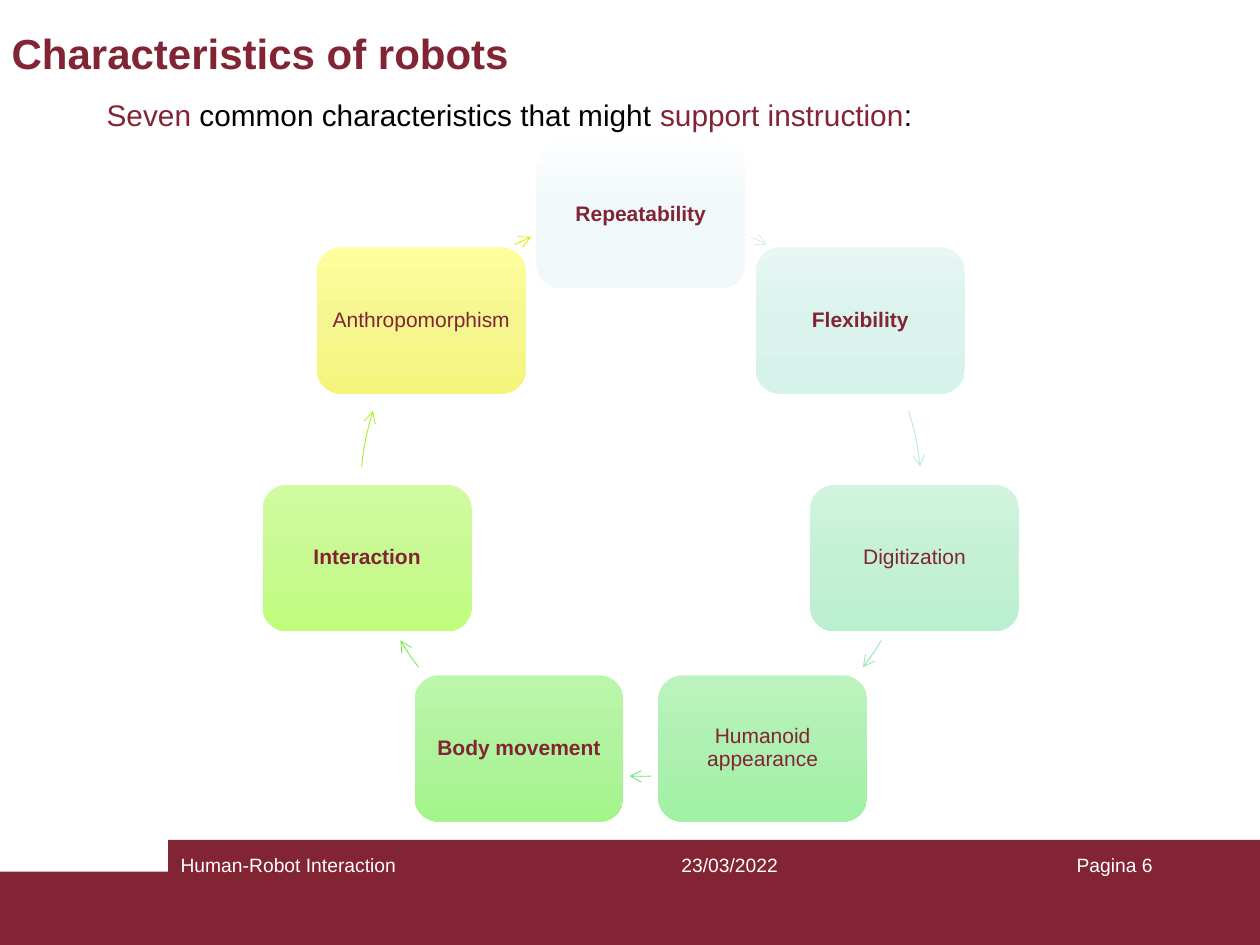
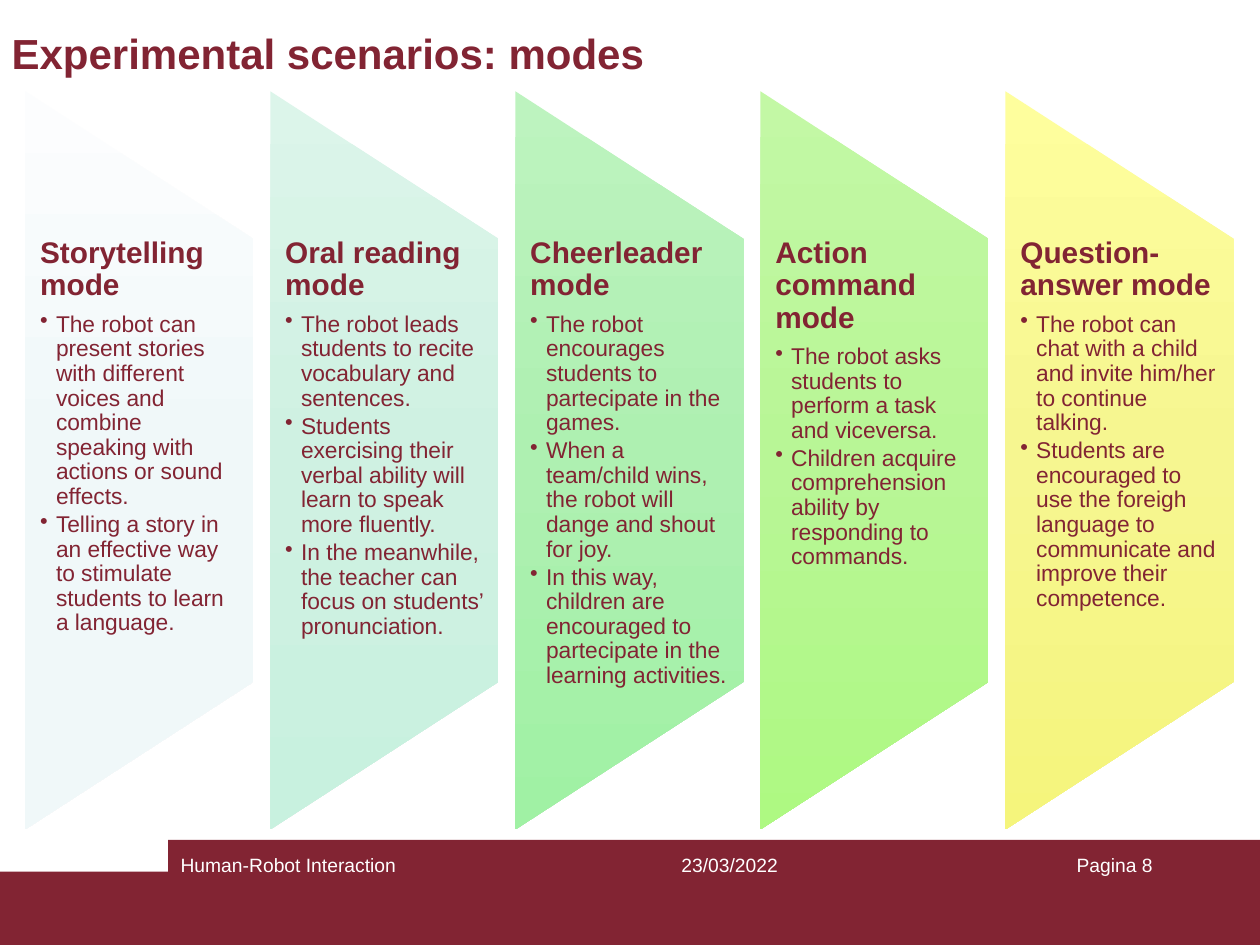
from copy import deepcopy
from math import cos, pi, radians, sin

from lxml.etree import SubElement
from pptx import Presentation
from pptx.dml.color import RGBColor
from pptx.enum.shapes import MSO_SHAPE
from pptx.enum.text import MSO_ANCHOR, MSO_AUTO_SIZE, PP_ALIGN
from pptx.oxml.ns import qn
from pptx.util import Cm, Pt

# Shared look
FONT = "Arial"
WINE = RGBColor(0x82, 0x24, 0x33)
WHITE = RGBColor(0xFF, 0xFF, 0xFF)
BLACK = RGBColor(0x00, 0x00, 0x00)
WIDE, HIGH = 25.4, 19.05


def shades(*codes):
    return [RGBColor.from_string(code) for code in codes]


# Gradients from top to bottom
ICE = shades("FCFDFE", "F0F8F9", "EEF7F8")
MIST = shades("E7F7F3", "DAF3EC", "D5F2EB")
AQUA = shades("DCF5EA", "CFF1E2", "C8F1DF")
MINT = shades("D2F4DF", "C4F0D4", "BAF0CF")
GREEN = shades("BDF3BF", "AEF0B1", "A0F1A4")
LEAF = shades("BCF6AB", "B0F39D", "A3F58A")
APPLE = shades("C3F8A5", "B8F696", "AEF982")
LIME = shades("D0FBA0", "C8F992", "C1FD7D")
LEMON = shades("FEFE9D", "F6F690", "F5F57C")

# Ring of traits: label, bold, gradient
TRAITS = [
    ("Repeatability", True, ICE),
    ("Flexibility", True, MIST),
    ("Digitization", False, MINT),
    ("Humanoid appearance", False, GREEN),
    ("Body movement", True, LEAF),
    ("Interaction", True, LIME),
    ("Anthropomorphism", False, LEMON),
]
MID_X, MID_Y, RADIUS = 12.92, 9.99, 5.66
BOX_W, BOX_H = 4.21, 2.95

# Arrow arcs in degrees, clockwise from the right; the left side mirrors the right
RIGHT = [(-67, -63.3), (-17.5, -5.9), (31.1, 37.7)]
ARCS = RIGHT + [(87.9, 92.3)] + [(180 - b, 180 - a) for a, b in RIGHT[::-1]]
INKS = shades("DAEDEF", "BBE8DD", "98E5B7", "72E678", "79EB48", "A7F31A", "E7E700")

# Columns of modes: heading, gradient, right margin, points
MODES = [
    ("Storytelling mode", ICE, 0.4, [
        "The robot can present stories with different voices and combine "
        "speaking with actions or sound effects.",
        "Telling a story in an effective way to stimulate students to learn "
        "a language."]),
    ("Oral reading mode", AQUA, 0.27, [
        "The robot leads students to recite vocabulary and sentences.",
        "Students exercising their verbal ability will learn to speak more "
        "fluently.",
        "In the meanwhile, the teacher can focus on students’ pronunciation."]),
    ("Cheerleader mode", GREEN, 0.27, [
        "The robot encourages students to partecipate in the games.",
        "When a team/child wins, the robot will dange and shout for joy.",
        "In this way, children are encouraged to partecipate in the learning "
        "activities."]),
    ("Action command mode", APPLE, 0.27, [
        "The robot asks students to perform a task and viceversa.",
        "Children acquire comprehension ability by responding to commands."]),
    ("Question-answer mode", LEMON, 0.27, [
        "The robot can chat with a child and invite him/her to continue "
        "talking.",
        "Students are encouraged to use the foreigh language to communicate "
        "and improve their competence."]),
]
COL_X, COL_STEP, COL_W = 0.51, 4.94, 4.6
COL_H, COL_MID = 14.88, 9.28


def style(item, **looks):
    for name, value in looks.items():
        setattr(item, name, value)


def place(item, x, y, w, h):
    style(item, left=Cm(x), top=Cm(y), width=Cm(w), height=Cm(h))


def write(para, text, size, color=WINE, bold=False):
    run = para.add_run()
    run.text = text
    style(run.font, name=FONT, size=Pt(size), bold=bold)
    run.font.color.rgb = color


def add_text(slide, x, y, w, h):
    box = slide.shapes.add_textbox(Cm(x), Cm(y), Cm(w), Cm(h))
    box.text_frame.word_wrap = True
    return box.text_frame


def add_shape(slide, kind, x, y, w, h):
    shape = slide.shapes.add_shape(kind, Cm(x), Cm(y), Cm(w), Cm(h))
    shape.shadow.inherit = False
    shape.line.fill.background()
    return shape


def shade(shape, hues):
    """Fill with three stops that run down the slide, however the shape turns."""
    shape.fill.gradient()
    shape.fill.gradient_angle = 270
    grad = shape.element.spPr.find(qn("a:gradFill"))
    grad.set("rotWithShape", "0")
    stops = grad.find(qn("a:gsLst"))
    stops.insert(1, deepcopy(stops[0]))
    stops[1].set("pos", "50000")
    for stop, hue in zip(shape.fill.gradient_stops, hues):
        stop.color.rgb = hue


def add_bands(slide):
    """Put the bottom bands on the layout that all slides share."""
    for x, y in [(0, 17.57), (3.39, 16.93)]:
        band = add_shape(slide, MSO_SHAPE.RECTANGLE, x, y, WIDE - x, HIGH - y)
        band.fill.solid()
        band.fill.fore_color.rgb = WINE
        slide.slide_layout.shapes.element.append(band.element)


def add_slide(deck, title, page):
    slide = deck.slides.add_slide(deck.slide_layouts[5])
    head = slide.shapes.title
    place(head, -0.02, 0.43, 25.42, 1.4)
    style(head.text_frame, auto_size=MSO_AUTO_SIZE.NONE, word_wrap=True,
          vertical_anchor=MSO_ANCHOR.MIDDLE, margin_bottom=Cm(0.25))
    para = head.text_frame.paragraphs[0]
    para.alignment = PP_ALIGN.LEFT
    write(para, title, 24, bold=True)
    # Footer
    for text, x, w, side in [
            ("23/03/2022", 12.07, 5.28, PP_ALIGN.CENTER),
            ("Human-Robot Interaction", 3.39, 8.05, PP_ALIGN.LEFT),
            (f"Pagina {page}", 18.21, 5.28, PP_ALIGN.RIGHT)]:
        para = add_text(slide, x, 17.07, w, 1.27).paragraphs[0]
        para.alignment = side
        write(para, text, 11, WHITE)
    return slide


def add_trait(slide, angle, label, bold, hues):
    x, y = MID_X + RADIUS * cos(angle), MID_Y + RADIUS * sin(angle)
    box = add_shape(slide, MSO_SHAPE.ROUNDED_RECTANGLE,
                    x - BOX_W / 2, y - BOX_H / 2, BOX_W, BOX_H)
    shade(box, hues)
    gap = Cm(0.12)
    style(box.text_frame, word_wrap=True, vertical_anchor=MSO_ANCHOR.MIDDLE,
          margin_left=gap, margin_right=gap, margin_top=gap, margin_bottom=gap)
    para = box.text_frame.paragraphs[0]
    style(para, alignment=PP_ALIGN.CENTER, line_spacing=0.9)
    write(para, label, 12, bold=bold)


def add_arc(slide, start, end, ink):
    """Draw an arrow along the ring, in a frame as large as the whole ring."""
    left, top, size = Cm(MID_X - RADIUS), Cm(MID_Y - RADIUS), Cm(2 * RADIUS)
    build = slide.shapes.build_freeform(left, top)
    build.add_line_segments([(left + size, top + size)], close=False)
    arc = build.convert_to_shape()
    # Swap the diagonal for an arc
    track = arc.element.spPr.find(".//" + qn("a:path"))
    track.remove(track.find(qn("a:lnTo")))
    point = track.find(".//" + qn("a:pt"))
    point.set("x", str(Cm(RADIUS * (1 + cos(radians(start))))))
    point.set("y", str(Cm(RADIUS * (1 + sin(radians(start))))))
    SubElement(track, qn("a:arcTo"), wR=str(size // 2), hR=str(size // 2),
               stAng=str(round(start % 360 * 60000)),
               swAng=str(round((end - start) * 60000)))
    arc.shadow.inherit = False
    arc.fill.background()
    arc.line.color.rgb = ink
    arc.line.width = Pt(0.5)
    SubElement(arc.element.spPr.find(qn("a:ln")), qn("a:tailEnd"), type="arrow")


def add_point(frame, text):
    para = frame.add_paragraph()
    style(para, level=1, line_spacing=0.9, space_after=Pt(1.9))
    write(para, text, 13)
    props = para._p.get_or_add_pPr()
    props.set("marL", str(Cm(0.32)))
    props.set("indent", str(-Cm(0.32)))
    SubElement(props, qn("a:buChar"), char="•")


def add_mode(slide, x, name, hues, gap, points):
    # Side-on trapezoid, turned about its centre
    panel = add_shape(slide, MSO_SHAPE.FLOWCHART_MANUAL_OPERATION,
                      x + (COL_W - COL_H) / 2, COL_MID - COL_W / 2, COL_H, COL_W)
    panel.rotation = 270
    shade(panel, hues)
    # Heading and points
    frame = add_text(slide, x, 4.8, COL_W, 8.94)
    style(frame, margin_left=Cm(0.3), margin_right=Cm(gap),
          margin_top=0, margin_bottom=0)
    para = frame.paragraphs[0]
    style(para, line_spacing=0.9, space_after=Pt(5.9))
    write(para, name, 17, bold=True)
    for text in points:
        add_point(frame, text)


def main():
    deck = Presentation()
    style(deck, slide_width=Cm(WIDE), slide_height=Cm(HIGH))

    # Characteristics in a ring
    slide = add_slide(deck, "Characteristics of robots", 6)
    add_bands(slide)
    para = add_text(slide, 1.9, 1.83, 22.05, 1).paragraphs[0]
    for text, color in [("Seven", WINE),
                        (" common characteristics that might ", BLACK),
                        ("support instruction", WINE), (":", BLACK)]:
        write(para, text, 17, color)
    for i, (trait, arc, ink) in enumerate(zip(TRAITS, ARCS, INKS)):
        add_trait(slide, 2 * pi * i / len(TRAITS) - pi / 2, *trait)
        add_arc(slide, *arc, ink)

    # Modes in columns
    slide = add_slide(deck, "Experimental scenarios: modes", 8)
    for i, mode in enumerate(MODES):
        add_mode(slide, COL_X + i * COL_STEP, *mode)

    deck.save("out.pptx")


if __name__ == "__main__":
    main()
